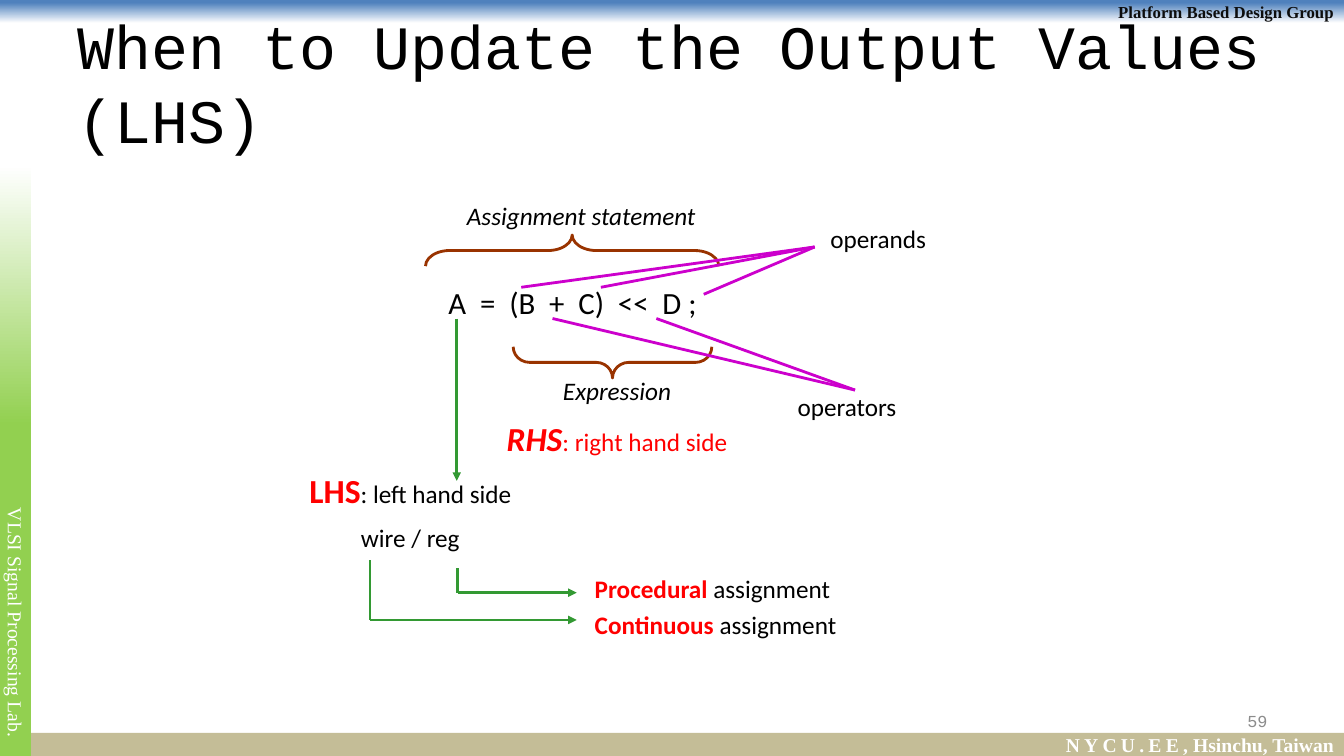
from pptx import Presentation
from pptx.dml.color import RGBColor
from pptx.enum.shapes import MSO_CONNECTOR, MSO_SHAPE
from pptx.enum.text import MSO_ANCHOR, MSO_AUTO_SIZE, PP_ALIGN
from pptx.oxml.ns import qn
from pptx.util import Inches, Pt
from lxml.etree import SubElement

BLACK = RGBColor(0x00, 0x00, 0x00)
INK = RGBColor(0x0D, 0x0D, 0x0D)
WHITE = RGBColor(0xFF, 0xFF, 0xFF)
GRAY = RGBColor(0x8C, 0x8C, 0x8C)
RED = RGBColor(0xFF, 0x00, 0x00)
BLUE = RGBColor(0x4F, 0x81, 0xBD)
TAN = RGBColor(0xC4, 0xBD, 0x97)
LIME = RGBColor(0x92, 0xD0, 0x50)
GREEN = RGBColor(0x33, 0x99, 0x33)
BROWN = RGBColor(0x99, 0x33, 0x00)
PURPLE = RGBColor(0xCC, 0x00, 0xCC)
WIDTH, HEIGHT, BAR = 13.33, 7.5, 0.23


def write(shape, paragraphs, align=PP_ALIGN.CENTER, font="Calibri", anchor=MSO_ANCHOR.TOP):
    """Fill a shape with paragraphs of (text, size, colour, style) runs; style holds b and i."""
    frame = shape.text_frame
    frame.word_wrap = True
    frame.auto_size = MSO_AUTO_SIZE.NONE
    frame.vertical_anchor = anchor
    for index, runs in enumerate(paragraphs):
        paragraph = frame.add_paragraph() if index else frame.paragraphs[0]
        paragraph.alignment = align
        if index:
            paragraph.space_before = Pt(9)
        for text, size, color, style in runs:
            run = paragraph.add_run()
            run.text = text
            run.font.name = font
            run.font.size = Pt(size)
            run.font.color.rgb = color
            run.font.bold = "b" in style
            run.font.italic = "i" in style


def connect(start, end, color, arrow=False):
    """Draw a straight line, with an arrowhead at its end if asked."""
    points = [Inches(value) for value in (*start, *end)]
    connector = slide.shapes.add_connector(MSO_CONNECTOR.STRAIGHT, *points)
    connector.line.color.rgb = color
    connector.line.width = Pt(2)
    if arrow:
        SubElement(connector.line._get_or_add_ln(), qn("a:tailEnd"), type="triangle")
    SubElement(connector._element.spPr, qn("a:effectLst"))


presentation = Presentation()
presentation.slide_width = Inches(WIDTH)
presentation.slide_height = Inches(HEIGHT)
slide = presentation.slides.add_slide(presentation.slide_layouts[5])

# Title
title = slide.shapes.title
title.left, title.top, title.width, title.height = map(Inches, (0.67, 0.3, 12, 1.03))
write(title, [[("When to Update the Output Values (LHS)", 44, BLACK, "")]],
      PP_ALIGN.LEFT, "Courier New", MSO_ANCHOR.MIDDLE)

# Frame bars: box, colour, gradient (start, angle), alignment, runs
bars = [
    ((0, 0, WIDTH, BAR), BLUE, (0.12, 270), PP_ALIGN.RIGHT,
     [("Platform Based Design Group", 12, INK, "b")]),
    ((0, HEIGHT - BAR, WIDTH, BAR), TAN, None, PP_ALIGN.RIGHT,
     [("NYCU.EE", 14, WHITE, "b"), (", Hsinchu, Taiwan", 14, WHITE, "b")]),
    ((0, 1.64, 0.31, HEIGHT - 1.64), LIME, (0.56, 90), PP_ALIGN.CENTER,
     [("VLSI Signal Processing Lab.", 14, WHITE, "")]),
]
bar_shapes = []
for box, color, gradient, align, runs in bars:
    bar = slide.shapes.add_shape(MSO_SHAPE.RECTANGLE, *map(Inches, box))
    bar.shadow.inherit = False
    bar.line.fill.background()
    if gradient:
        bar.fill.gradient()
        bar.fill.gradient_angle = gradient[1]
        first, last = bar.fill.gradient_stops
        first.color.rgb, first.position = color, gradient[0]
        last.color.rgb, last.position = WHITE, 1
    else:
        bar.fill.solid()
        bar.fill.fore_color.rgb = color
    write(bar, [runs], align, "Times New Roman", MSO_ANCHOR.MIDDLE)
    bar_shapes.append(bar)

# Wide letters in the bottom bar, turned text in the side bar
top_bar, bottom_bar, side_bar = bar_shapes
bottom_bar.text_frame.paragraphs[0].runs[0].font._element.set("spc", "300")
side_bar.text_frame.margin_top = Inches(3.31)
side_bar.text_frame._txBody.bodyPr.set("vert", "vert")

# Slide number
number = slide.shapes.add_textbox(*map(Inches, (9.56, 6.95, 3.11, 0.4)))
write(number, [[("59", 12, GRAY, "")]], PP_ALIGN.RIGHT, "Courier New", MSO_ANCHOR.MIDDLE)

# Statement and its labels
labels = [
    ((2.65, 2.77, 6.06, 0.47), [[("A  =  (B  +  C)  <<  D ;", 22, BLACK, "")]]),
    ((2.73, 4.61, 2.68, 0.96), [[("LHS", 24, RED, "b"), (": left hand side", 18, BLACK, "")],
                                [("wire / reg", 18, BLACK, "")]]),
    ((4.78, 3.67, 2.68, 1.01), [[("Expression", 18, BLACK, "i")],
                                [("RHS", 24, RED, "bi"), (": right hand side", 18, RED, "")]]),
    ((7.69, 3.83, 1.42, 0.4), [[("operators", 18, BLACK, "")]]),
    ((8, 2.17, 1.42, 0.4), [[("operands", 18, BLACK, "")]]),
    ((4.23, 1.94, 3.07, 0.4), [[("Assignment statement", 18, BLACK, "i")]]),
]
for box, paragraphs in labels:
    write(slide.shapes.add_textbox(*map(Inches, box)), paragraphs)

# Braces above the statement and below the expression
for box, rotation, curve in [((5.52, 1.03, 0.31, 2.91), 270, 0.773),
                             ((5.92, 2.61, 0.31, 1.97), 90, 0.522)]:
    brace = slide.shapes.add_shape(MSO_SHAPE.RIGHT_BRACE, *map(Inches, box))
    brace.rotation = rotation
    brace.adjustments[0] = curve
    brace.shadow.inherit = False
    brace.fill.background()
    brace.line.color.rgb = BROWN
    brace.line.width = Pt(2)

# Rays from the operands and the operators to their labels
for target, starts in [((8.08, 2.45), [(5.17, 2.85), (5.96, 2.85), (6.98, 2.92)]),
                       ((8.48, 3.87), [(5.48, 3.16), (6.51, 3.16)])]:
    for start in starts:
        connect(start, target, PURPLE)

# Arrow from A to the left hand side
connect((4.53, 3.16), (4.53, 4.77), GREEN, arrow=True)

# Bent arrows from reg and wire to the kinds of assignment
for x, top, bottom, kind, label_top in [(4.54, 5.64, 5.88, "Procedural", 5.64),
                                        (3.67, 5.56, 6.15, "Continuous", 6)]:
    connect((x, top), (x, bottom), GREEN)
    connect((x, bottom), (5.72, bottom), GREEN, arrow=True)
    label = slide.shapes.add_textbox(*map(Inches, (5.8, label_top, 4.25, 0.4)))
    write(label, [[(kind, 18, RED, "b"), (" assignment", 18, BLACK, "")]], PP_ALIGN.LEFT)

presentation.save("out.pptx")
